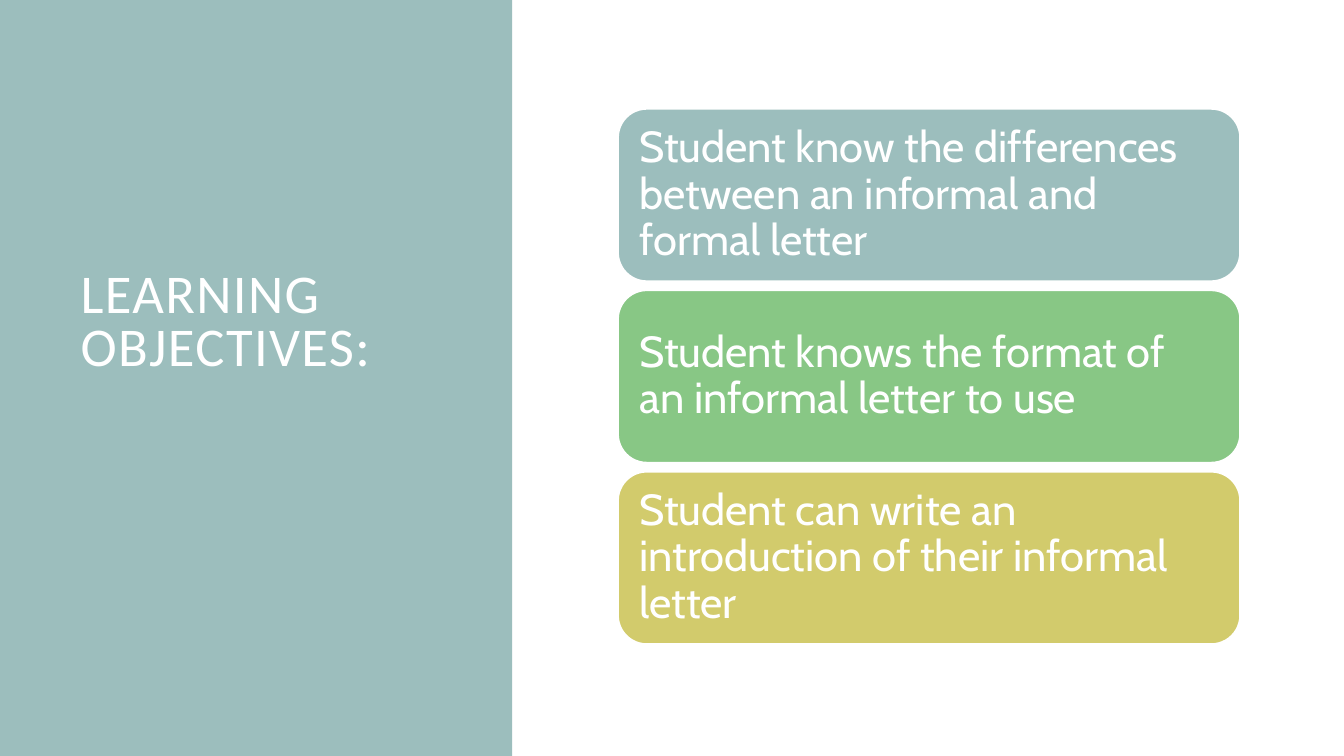
from pptx import Presentation
from pptx import util as u
from pptx.dml import color
from pptx.enum import shapes, text

WHITE, TEAL, GREEN, OLIVE = "FFFFFF", "9CBEBD", "88C785", "D2CB6C"


def paint(target, value):
    """Give a fill a solid colour."""
    target.solid()
    target.fore_color.rgb = color.RGBColor.from_string(value)


def format_text(shape, font_name, size, line_spacing):
    """Wrap, left-align and style the single paragraph of a shape."""
    frame = shape.text_frame
    frame.word_wrap = True
    frame.auto_size = text.MSO_AUTO_SIZE.NONE
    frame.vertical_anchor = text.MSO_ANCHOR.MIDDLE
    para = frame.paragraphs[0]
    para.alignment = text.PP_ALIGN.LEFT
    para.line_spacing = line_spacing
    para.font.name = font_name
    para.font.size = u.Pt(size)
    paint(para.font.fill, WHITE)
    return frame


deck = Presentation()
deck.slide_width, deck.slide_height = u.Inches(13.33), u.Inches(7.5)
page = deck.slides.add_slide(deck.slide_layouts[5])
paint(page.background.fill, WHITE)

# Side panel, placed behind the title
panel = page.shapes.add_shape(
    shapes.MSO_SHAPE.RECTANGLE, 0, 0, u.Inches(5.08), deck.slide_height)
panel.shadow.inherit = False
paint(panel.fill, TEAL)
panel.line.fill.background()
title = page.shapes.title
title.element.addprevious(panel.element)

# Title, raised above the middle by a deep bottom inset
title.left, title.top = u.Inches(0.7), u.Inches(0.7)
title.width, title.height = u.Inches(3.74), u.Inches(6.09)
title.text_frame.text = "LEARNING OBJECTIVES:"
title_frame = format_text(title, "Calibri", 39, 0.8)
title_frame.margin_bottom = u.Inches(1.11)
span = title_frame.paragraphs[0].runs[0]
span.font.element.set("spc", "100") if hasattr(span.font, "element") else \
    span._r.get_or_add_rPr().set("spc", "100")

# Objective cards
objectives = [
    ("Student know the differences between an informal and formal letter", TEAL),
    ("Student knows the format of an informal letter to use", GREEN),
    ("Student can write an introduction of their informal letter", OLIVE),
]
for index, (objective, fill) in enumerate(objectives):
    card = page.shapes.add_shape(
        shapes.MSO_SHAPE.ROUNDED_RECTANGLE,
        u.Inches(6.13), u.Inches(1.08 + 1.8 * index), u.Inches(6.17), u.Inches(1.71))
    card.shadow.inherit = False
    paint(card.fill, fill)
    paint(card.line.fill, WHITE)
    card.line.width = u.Pt(1.25)
    card.text_frame.text = objective
    frame = format_text(card, "Cabin", 31, 0.9)
    frame.margin_left = frame.margin_right = u.Inches(0.13)
    frame.margin_top = frame.margin_bottom = u.Inches(0.13)

deck.save("out.pptx")
